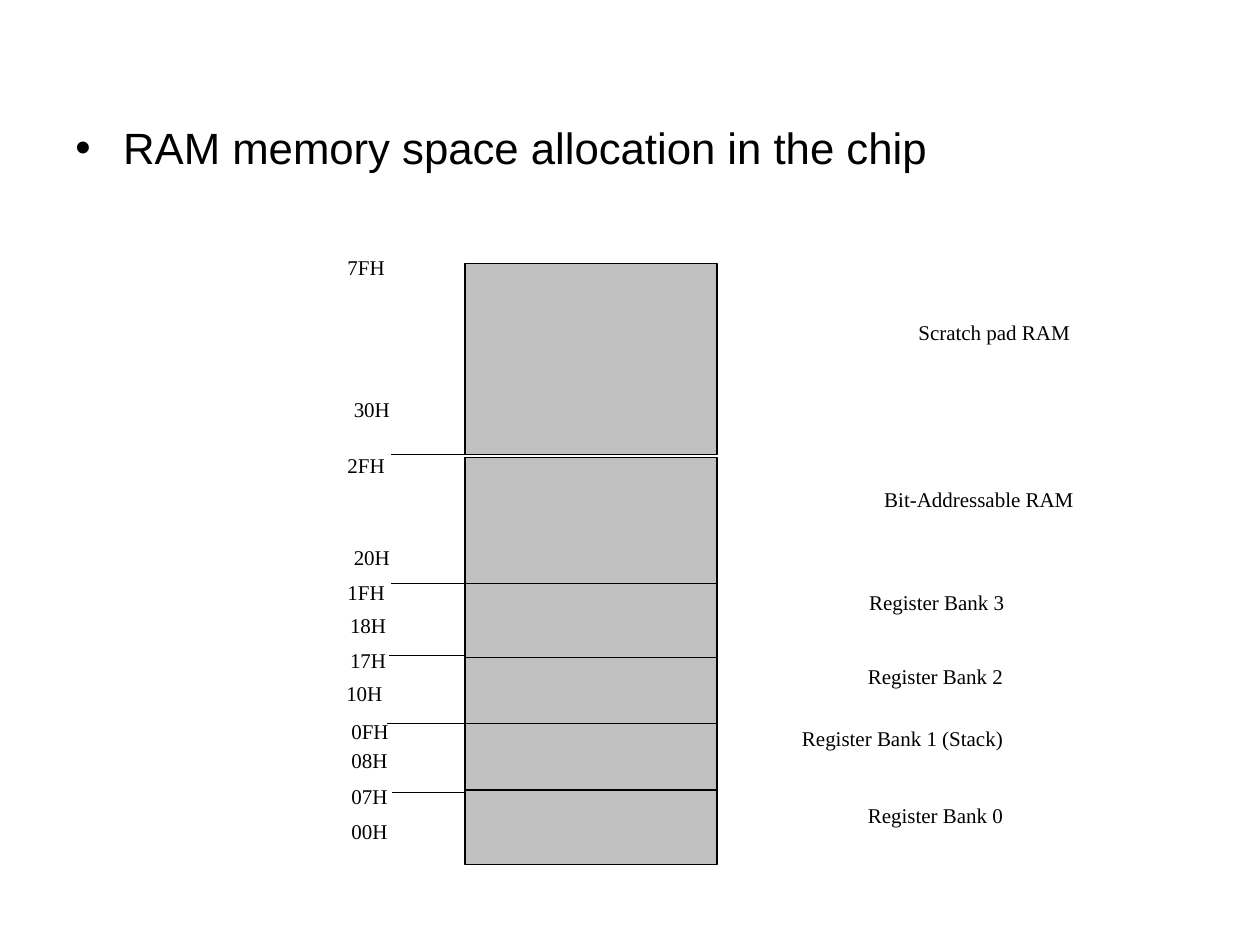
from dataclasses import dataclass

from lxml import etree
from pptx import Presentation
from pptx.dml.color import RGBColor
from pptx.enum.shapes import MSO_CONNECTOR, MSO_SHAPE
from pptx.enum.text import PP_ALIGN
from pptx.oxml.ns import qn
from pptx.util import Inches, Pt

RECTANGLE = MSO_SHAPE.RECTANGLE
STRAIGHT = MSO_CONNECTOR.STRAIGHT
LEFT, RIGHT = PP_ALIGN.LEFT, PP_ALIGN.RIGHT


@dataclass(frozen=True)
class Theme:
    ink: RGBColor = RGBColor(0, 0, 0)
    memory: RGBColor = RGBColor(0xC0, 0xC0, 0xC0)
    heading_font: str = "Arial"
    label_font: str = "Times New Roman"
    heading_size: float = 25
    label_size: float = 12
    line_width: float = 0.75


THEME = Theme()

MEMORY_LEFT, MEMORY_WIDTH = 3.69, 2
ADDRESS_WIDTH, ADDRESS_HEIGHT = 1.06, 0.5
NAME_HEIGHT = 0.61

# Memory regions, from high to low: top, height
REGIONS = [(2.09, 1.52), (3.63, 1.03), (4.63, 0.59),
           (5.22, 0.53), (5.74, 0.53), (6.27, 0.59)]

# Region names: text, left, top, width
NAMES = [
    ("Scratch pad RAM", 5.67, 2.49, 2.92),
    ("Bit-Addressable RAM", 5.7, 3.81, 2.92),
    ("Register Bank 3", 5.7, 4.63, 2.37),
    ("Register Bank 2", 5.69, 5.22, 2.37),
    ("Register Bank 1 (Stack)", 5.69, 5.71, 2.37),
    ("Register Bank 0", 5.69, 6.32, 2.37),
]

# First and last address of each region: text, left, top
ADDRESSES = [
    ("7FH", 2.66, 1.97), ("30H", 2.71, 3.1),
    ("2FH", 2.66, 3.54), ("20H", 2.71, 4.27),
    ("1FH", 2.66, 4.55), ("18H", 2.68, 4.81),
    ("17H", 2.68, 5.09), ("10H", 2.65, 5.35),
    ("0FH", 2.69, 5.65), ("08H", 2.69, 5.88),
    ("07H", 2.69, 6.17), ("00H", 2.69, 6.45),
]

# Boundary marks between the addresses: start, end, height on the slide
BOUNDARIES = [(3.72, 3.1, 3.61), (3.72, 3.1, 4.63), (3.7, 3.09, 5.2),
              (3.69, 3.07, 5.74), (3.7, 3.11, 6.29)]


def add_text(slide, text, left, top, width, height, *,
             font=THEME.label_font, size=THEME.label_size, align=LEFT):
    box = slide.shapes.add_textbox(
        Inches(left), Inches(top), Inches(width), Inches(height))
    box.text_frame.word_wrap = True
    paragraph = box.text_frame.paragraphs[0]
    paragraph.alignment = align
    run = paragraph.add_run()
    run.text = text
    run.font.name = font
    run.font.size = Pt(size)
    run.font.color.rgb = THEME.ink
    return paragraph


def add_bullet(paragraph, indent):
    properties = paragraph._p.get_or_add_pPr()
    properties.set("marL", str(Inches(indent)))
    properties.set("indent", str(-Inches(indent)))
    etree.SubElement(properties, qn("a:buFont"), typeface=THEME.heading_font)
    etree.SubElement(properties, qn("a:buChar"), char="•")


def style_line(line):
    line.color.rgb = THEME.ink
    line.width = Pt(THEME.line_width)


def add_region(slide, top, height):
    region = slide.shapes.add_shape(
        RECTANGLE, Inches(MEMORY_LEFT), Inches(top),
        Inches(MEMORY_WIDTH), Inches(height))
    region.shadow.inherit = False
    region.fill.solid()
    region.fill.fore_color.rgb = THEME.memory
    style_line(region.line)


def add_boundary(slide, start, end, y):
    boundary = slide.shapes.add_connector(
        STRAIGHT, Inches(start), Inches(y), Inches(end), Inches(y))
    style_line(boundary.line)
    etree.SubElement(boundary._element.spPr, qn("a:effectLst"))


def main():
    deck = Presentation()
    deck.slide_width, deck.slide_height = Inches(10), Inches(7.5)
    slide = deck.slides.add_slide(deck.slide_layouts[6])

    # Heading
    heading = add_text(slide, "RAM memory space allocation in the chip",
                       0.5, 0.91, 9, 5.78,
                       font=THEME.heading_font, size=THEME.heading_size)
    heading.space_before = Pt(6.2)
    add_bullet(heading, 0.38)

    # Memory column
    for top, height in REGIONS:
        add_region(slide, top, height)
    for start, end, y in BOUNDARIES:
        add_boundary(slide, start, end, y)

    # Addresses on the left, region names on the right
    for text, left, top in ADDRESSES:
        add_text(slide, text, left, top, ADDRESS_WIDTH, ADDRESS_HEIGHT)
    for text, left, top, width in NAMES:
        add_text(slide, text, left, top, width, NAME_HEIGHT, align=RIGHT)

    deck.save("out.pptx")


if __name__ == "__main__":
    main()
